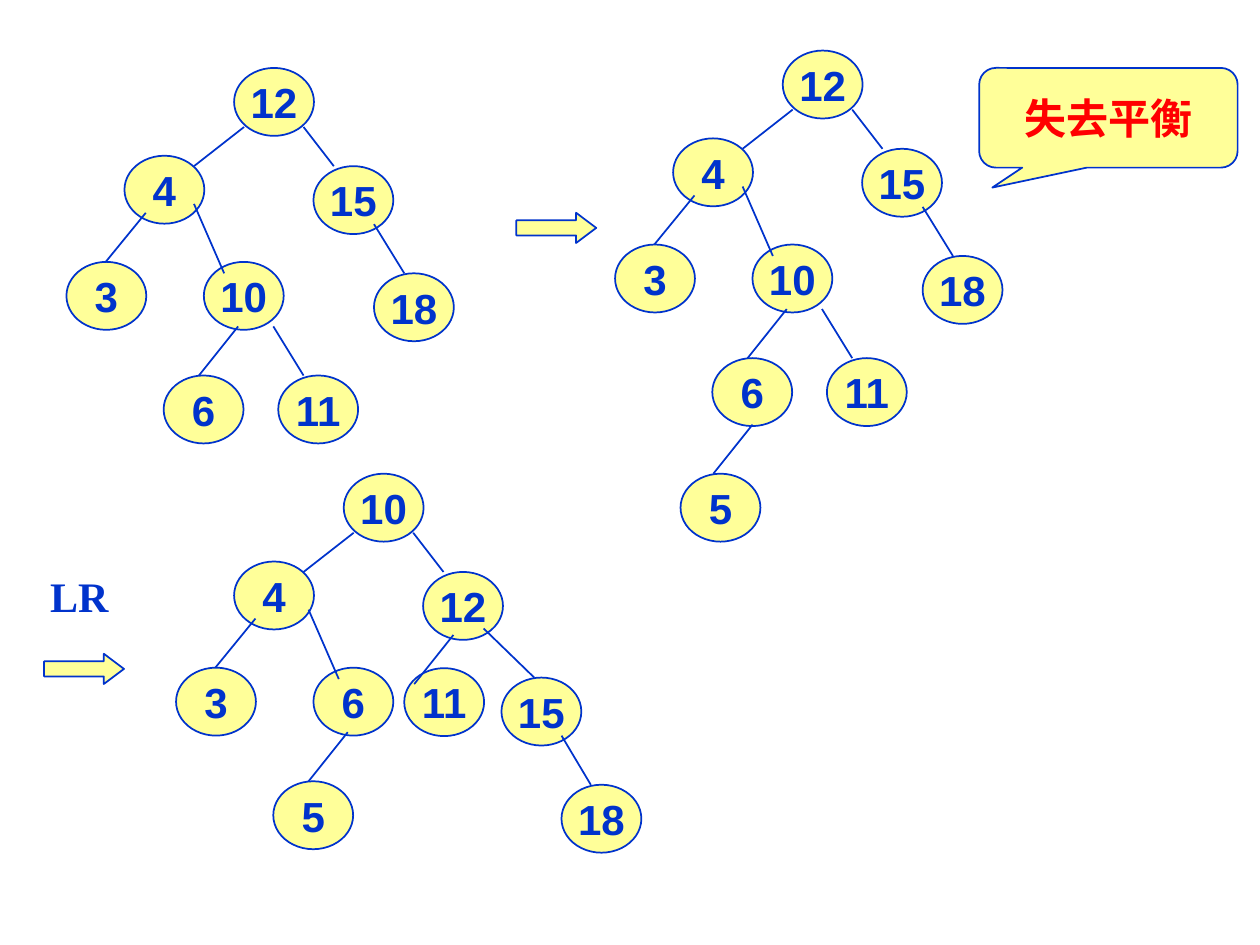
from lxml.etree import SubElement
from pptx import Presentation
from pptx.dml.color import RGBColor
from pptx.enum.shapes import MSO_CONNECTOR, MSO_SHAPE
from pptx.enum.text import MSO_ANCHOR, PP_ALIGN
from pptx.oxml.ns import qn
from pptx.util import Cm, Pt

COLORS = {"blue": "0033CC", "yellow": "FFFF99", "red": "FF0000"}

# Branch positions in cm, measured from the corner of the root node:
# path from the root: (node corner, edge start, edge end)
BRANCHES = {
    "L": ((-2.21, 1.77), (0.2, 1.19), (-0.81, 1.98)),
    "R": ((1.6, 1.98), (1.4, 1.19), (2.01, 1.98)),
    "LL": ((-3.38, 3.91), (-1.78, 2.92), (-2.59, 3.91)),
    "LR": ((-0.61, 3.91), (-0.81, 2.74), (-0.2, 4.14)),
    "RR": ((2.82, 4.14), (2.82, 3.15), (3.43, 4.14)),
    "LRL": ((-1.42, 6.2), (0.08, 5.21), (-0.71, 6.2)),
    "LRR": ((0.89, 6.2), (0.79, 5.21), (1.4, 6.2)),
    "LRLL": ((-2.06, 8.53), (-0.61, 7.54), (-1.4, 8.53)),
}
# The rotated tree spreads its right side to fit one more child
ROTATED_BRANCHES = BRANCHES | {
    "LR": ((-0.61, 3.91), (-0.71, 2.74), (-0.1, 4.14)),
    "RL": ((1.22, 3.92), (2.21, 3.25), (1.42, 4.24)),
    "RR": ((3.18, 4.11), (2.82, 3.12), (3.84, 4.11)),
    "RRR": ((4.39, 6.27), (4.39, 5.28), (4.98, 6.27)),
}

BALANCED_KEYS = {"": 12, "L": 4, "R": 15, "LL": 3, "LR": 10, "RR": 18, "LRL": 6, "LRR": 11}
ROTATED_KEYS = {"": 10, "L": 4, "R": 12, "LL": 3, "LR": 6, "RL": 11, "RR": 15, "LRL": 5, "RRR": 18}
TREES = [  # root corner, keys by path, branch positions
    ((4.72, 1.37), BALANCED_KEYS, BRANCHES),
    ((15.78, 1.02), BALANCED_KEYS | {"LRLL": 5}, BRANCHES),
    ((6.93, 9.55), ROTATED_KEYS, ROTATED_BRANCHES),
]
NODE_SIZE = (1.61, 1.37)

STEP_ARROWS = [(10.41, 4.29), (0.89, 13.18)]
ARROW_SIZE = (1.61, 0.61)
ROTATION_LABEL = ("LR", (0.76, 11.38), (1.75, 1.27))
IMBALANCE_NOTE = ("失去平衡", (19.74, 1.37), (5.21, 2.01))


def color(name):
    return RGBColor.from_string(COLORS[name])


def write(shape, text, ink="blue", font="Arial", align=PP_ALIGN.CENTER, wrap=True):
    frame = shape.text_frame
    frame.text = text
    frame.word_wrap = wrap
    paragraph = frame.paragraphs[0]
    paragraph.alignment = align
    run_font = paragraph.runs[0].font
    run_font.name, run_font.size, run_font.bold = font, Pt(24), True
    run_font.color.rgb = color(ink)


def add_outlined(shapes, kind, corner, size, adjustments=()):
    shape = shapes.add_shape(kind, *map(Cm, corner + size))
    shape.shadow.inherit = False
    shape.fill.solid()
    shape.fill.fore_color.rgb = color("yellow")
    shape.line.color.rgb = color("blue")
    shape.line.width = Pt(1)
    for index, value in enumerate(adjustments):
        shape.adjustments[index] = value
    shape.text_frame.vertical_anchor = MSO_ANCHOR.MIDDLE
    return shape


def add_edge(shapes, start, end):
    edge = shapes.add_connector(MSO_CONNECTOR.STRAIGHT, *map(Cm, start + end))
    edge.line.color.rgb = color("blue")
    edge.line.width = Pt(1)
    SubElement(edge._element.spPr, qn("a:effectLst"))


def add_tree(slide, root, keys, branches):
    def place(offset):
        return (root[0] + offset[0], root[1] + offset[1])

    shapes = slide.shapes.add_group_shape().shapes
    for branch, key in keys.items():
        corner = place(branches[branch][0]) if branch else root
        node = add_outlined(shapes, MSO_SHAPE.OVAL, corner, NODE_SIZE)
        write(node, str(key), wrap=False)
    # Edges lie on top of the nodes
    for branch in filter(None, keys):
        _, start, end = branches[branch]
        add_edge(shapes, place(start), place(end))


def main():
    prs = Presentation()
    prs.slide_width, prs.slide_height = Cm(25.4), Cm(19.05)
    slide = prs.slides.add_slide(prs.slide_layouts[6])

    # Trees before insertion, after insertion and after rotation
    for root, keys, branches in TREES:
        add_tree(slide, root, keys, branches)

    # Arrows between the steps
    for corner in STEP_ARROWS:
        add_outlined(slide.shapes, MSO_SHAPE.RIGHT_ARROW, corner, ARROW_SIZE, (0.5, 0.665))

    # Rotation label
    text, corner, size = ROTATION_LABEL
    rotation = slide.shapes.add_textbox(*map(Cm, corner + size))
    write(rotation, text, font="Times New Roman", align=PP_ALIGN.LEFT)

    # Imbalance callout
    text, corner, size = IMBALANCE_NOTE
    callout = add_outlined(slide.shapes, MSO_SHAPE.ROUNDED_RECTANGULAR_CALLOUT,
                           corner, size, (-0.449, 0.7, 0.167))
    write(callout, text, ink="red")

    prs.save("out.pptx")


if __name__ == "__main__":
    main()
